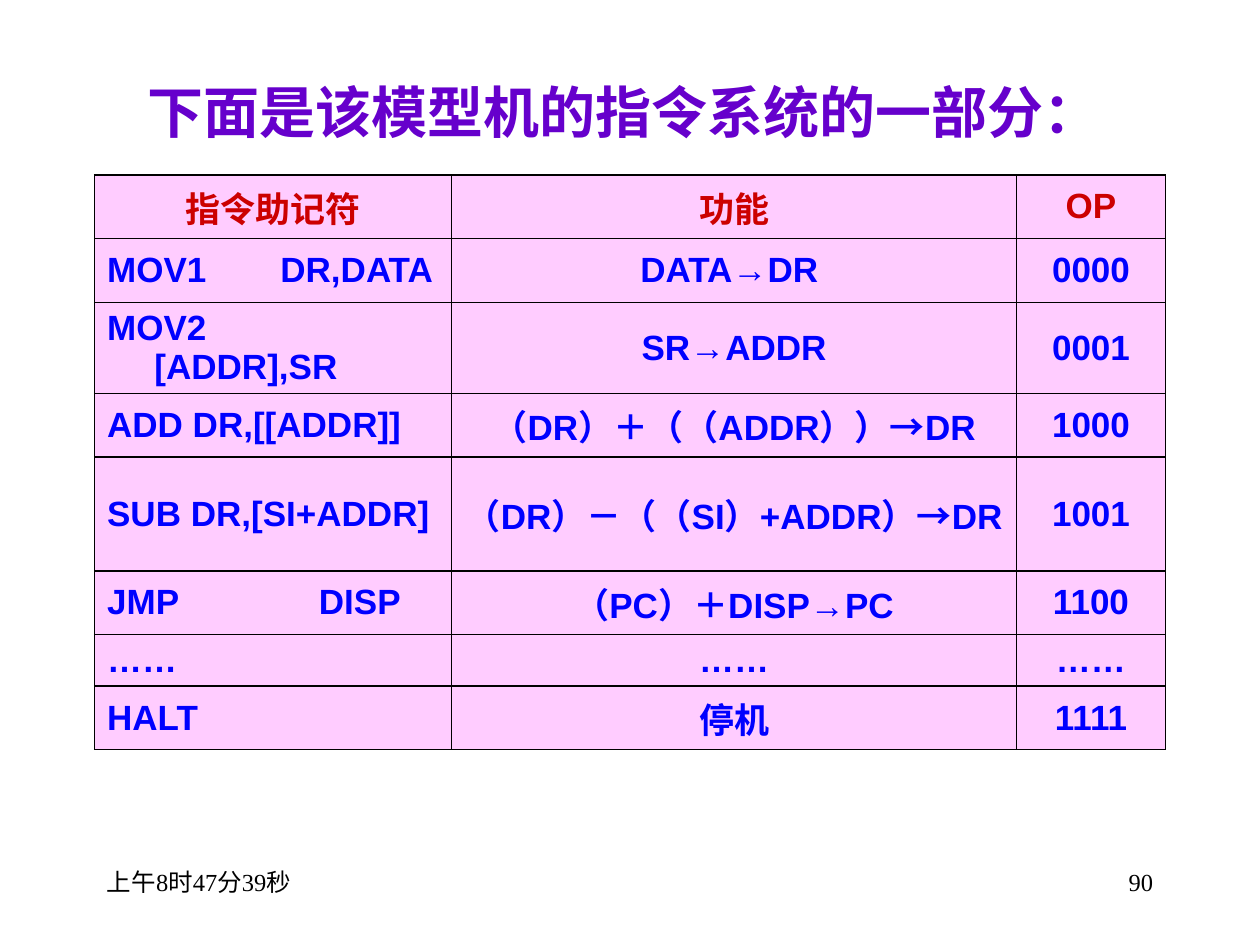
from lxml import etree
from pptx import Presentation
from pptx.dml.color import RGBColor
from pptx.enum.text import MSO_ANCHOR, PP_ALIGN
from pptx.oxml.ns import qn
from pptx.util import Pt

LEFT, CENTER, RIGHT = PP_ALIGN.LEFT, PP_ALIGN.CENTER, PP_ALIGN.RIGHT
MIDDLE = MSO_ANCHOR.MIDDLE
PURPLE = RGBColor(0x66, 0x00, 0xCC)
RED = RGBColor(0xCC, 0x00, 0x00)
BLUE = RGBColor(0x00, 0x00, 0xFF)
PINK = RGBColor(0xFF, 0xCC, 0xFF)
BLACK = RGBColor(0x00, 0x00, 0x00)
SERIF, SANS = "Times New Roman", "Arial"
INDENT = Pt(27)
WIDTHS = [204, 323, 85]
HEIGHTS = [27.4, 36.7, 33.8, 35.3, 39.6, 35.3, 27.4, 31]
ROWS = [
    ("指令助记符", "功能", "OP"),
    ("MOV1\tDR,DATA", "DATA→DR ", "0000"),
    ("MOV2\t[ADDR],SR", "SR→ADDR", "0001"),
    ("ADD DR,[[ADDR]]", "（DR）＋（（ADDR））→DR", "1000"),
    ("SUB DR,[SI+ADDR]", "（DR）－（（SI）+ADDR）→DR", "1001"),
    ("JMP\tDISP", "（PC）＋DISP→PC", "1100"),
    ("……", "……", "……"),
    ("HALT", "停机", "1111"),
]
TAB = Pt(72)
TABS = {"JMP\tDISP": Pt(94)}


def write(para, text, face, size, color, bold, align):
    para.alignment = align
    run = para.add_run()
    run.text = text
    font = run.font
    font.name, font.size, font.bold = face, Pt(size), bold
    font.color.rgb = color


def place(shape, box):
    shape.left, shape.top, shape.width, shape.height = map(Pt, box)


def add_title(slide, box):
    title = slide.shapes.title
    place(title, box)
    frame = title.text_frame
    frame.word_wrap = True
    frame.vertical_anchor = MIDDLE
    write(frame.paragraphs[0], "下面是该模型机的指令系统的一部分： ",
          SERIF, 32, PURPLE, True, CENTER)


def add_edges(cell):
    props = cell._tc.get_or_add_tcPr()
    for spot, side in enumerate(("a:lnL", "a:lnR", "a:lnT", "a:lnB")):
        line = etree.Element(qn(side), w=str(Pt(1)))
        fill = etree.SubElement(line, qn("a:solidFill"))
        etree.SubElement(fill, qn("a:srgbClr"), val=str(BLACK))
        props.insert(spot, line)


def fill_cell(cell, text, color, align):
    cell.fill.solid()
    cell.fill.fore_color.rgb = PINK
    cell.vertical_anchor = MIDDLE
    add_edges(cell)
    para = cell.text_frame.paragraphs[0]
    props = para._p.get_or_add_pPr()
    props.set("marL", str(INDENT))
    props.set("indent", str(-INDENT))
    props.set("defTabSz", str(TABS.get(text, TAB)))
    write(para, text, SANS, 20, color, True, align)


def add_grid(slide, box):
    frame = slide.shapes.add_table(len(ROWS), len(WIDTHS), *map(Pt, box))
    table = frame.table
    table.first_row = table.horz_banding = False
    for col, width in zip(table.columns, WIDTHS):
        col.width = Pt(width)
    for row, height in zip(table.rows, HEIGHTS):
        row.height = Pt(height)
    for r, texts in enumerate(ROWS):
        for c, text in enumerate(texts):
            align = LEFT if r and c == 0 else CENTER
            fill_cell(table.cell(r, c), text, BLUE if r else RED, align)


def add_note(slide, box, text, align):
    frame = slide.shapes.add_textbox(*map(Pt, box)).text_frame
    frame.word_wrap = True
    write(frame.paragraphs[0], text, SERIF, 14, BLACK, False, align)


def main():
    deck = Presentation()
    deck.slide_width, deck.slide_height = Pt(720), Pt(540)
    slide = deck.slides.add_slide(deck.slide_layouts[5])
    add_title(slide, (54, 37.5, 612, 52))
    add_grid(slide, (54, 100, 612, sum(HEIGHTS)))
    add_note(slide, (54, 492, 150, 36), "上午8时47分39秒", LEFT)
    add_note(slide, (516, 492, 150, 36), "90", RIGHT)
    deck.save("out.pptx")


if __name__ == "__main__":
    main()
